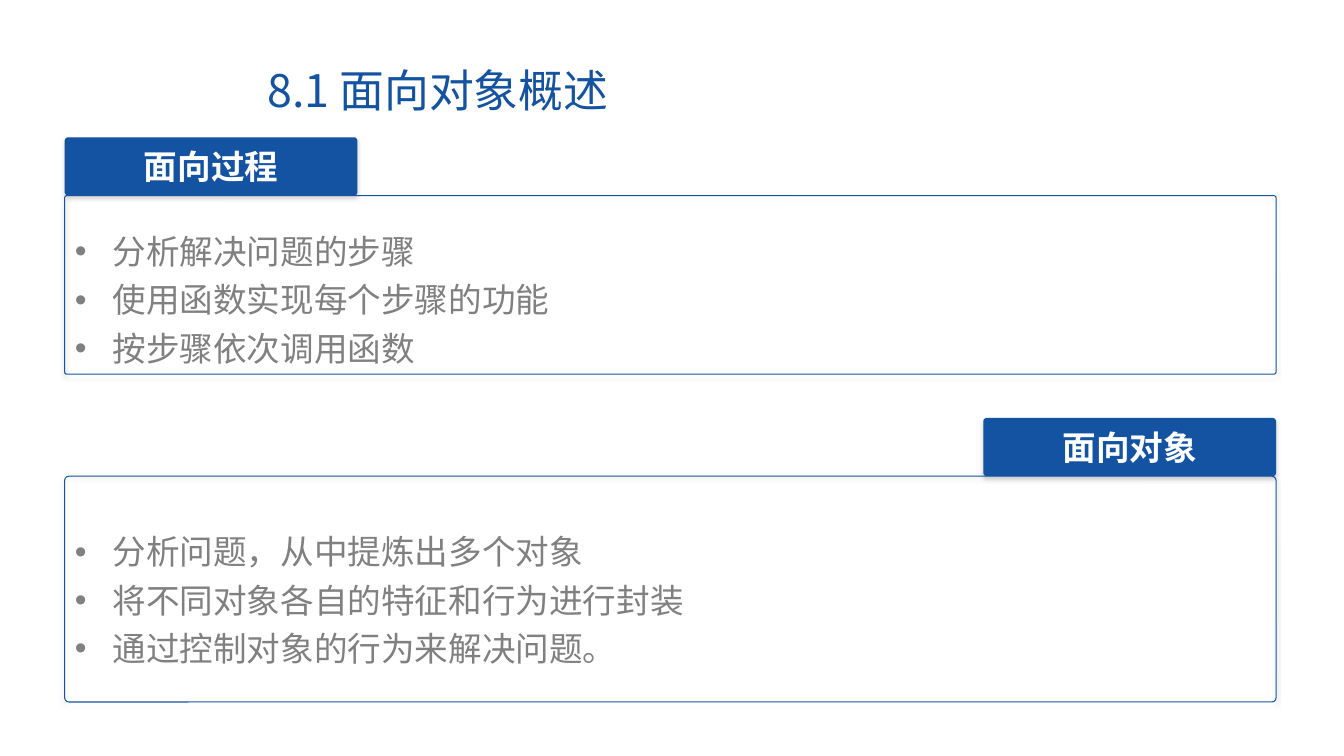
import pptx
import pptx.dml.color
import pptx.enum.shapes
import pptx.enum.text
import pptx.oxml
import pptx.oxml.ns
import pptx.util

Cm = pptx.util.Cm
Pt = pptx.util.Pt
ANCHOR = pptx.enum.text.MSO_ANCHOR
ALIGN = pptx.enum.text.PP_ALIGN
DRAWING = pptx.oxml.ns.nsdecls("a")
FONT = "Noto Sans CJK SC"
COLORS = {"blue": "1353A2", "grey": "808080", "white": "FFFFFF"}
RGB = {name: pptx.dml.color.RGBColor.from_string(code) for name, code in COLORS.items()}


def write(para, words, color, **font_format):
    """Add one formatted run, with the font for Latin and Chinese text."""
    span = para.add_run()
    span.text = words
    span.font.color.rgb = RGB[color]
    for name, value in {"name": FONT, **font_format}.items():
        setattr(span.font, name, value)
    span.font._element.find(pptx.oxml.ns.qn("a:latin")).addnext(
        pptx.oxml.parse_xml(f'<a:ea {DRAWING} typeface="{FONT}"/>'))


def add_card(page, place, radius):
    """Add a rounded rectangle with a soft shadow below it."""
    card = page.shapes.add_shape(
        pptx.enum.shapes.MSO_SHAPE.ROUNDED_RECTANGLE, *map(Cm, place))
    card.adjustments[0] = radius
    card.shadow.inherit = False
    effects = card._element.spPr.find(pptx.oxml.ns.qn("a:effectLst"))
    effects.append(pptx.oxml.parse_xml(
        f'<a:outerShdw {DRAWING} blurRad="{Pt(3.1)}" dist="{Pt(1.8)}" dir="5400000"'
        f' algn="t" rotWithShape="0"><a:srgbClr val="{COLORS["grey"]}">'
        '<a:alpha val="35000"/></a:srgbClr></a:outerShdw>'))
    return card


deck = pptx.Presentation()
deck.slide_width, deck.slide_height = Cm(33.87), Cm(19.05)
page = deck.slides.add_slide(deck.slide_layouts[3])
title, *bodies = page.placeholders

# Title
title.left, title.top, title.width, title.height = map(Cm, (6.48, 1.6, 23.22, 1.5))
title_format = {"word_wrap": True, "vertical_anchor": ANCHOR.MIDDLE,
                "auto_size": pptx.enum.text.MSO_AUTO_SIZE.NONE}
for name, value in title_format.items():
    setattr(title.text_frame, name, value)
heading = title.text_frame.paragraphs[0]
heading.alignment = ALIGN.LEFT
heading.line_spacing = 0.9
write(heading, "8.1 面向对象概述", "blue", size=Pt(32), bold=False)

# Each section: a tab on top of a panel, and a bulleted list inside
LEFT, WIDTH = 1.63, 30.53
TAB_WIDTH, TAB_HEIGHT = 7.38, 1.47
sections = [
    {"label": "面向过程", "tab_left": LEFT, "panel_top": 4.93, "panel_height": 4.5,
     "radius": 0.013, "list_top": 5.49, "list_width": 19.91,
     "points": ["分析解决问题的步骤", "使用函数实现每个步骤的功能", "按步骤依次调用函数"]},
    {"label": "面向对象", "tab_left": LEFT + WIDTH - TAB_WIDTH, "panel_top": 12,
     "panel_height": 5.69, "radius": 0.019, "list_top": 13.06, "list_width": WIDTH,
     "points": ["分析问题，从中提炼出多个对象", "将不同对象各自的特征和行为进行封装",
                "通过控制对象的行为来解决问题。"]},
]
list_format = {**title_format, "vertical_anchor": ANCHOR.TOP}
point_format = {"line_spacing": 1.2, "space_before": Pt(0), "alignment": ALIGN.LEFT}

for section, body in zip(sections, bodies):
    # Tab
    tab = add_card(page, (section["tab_left"], section["panel_top"] - TAB_HEIGHT,
                          TAB_WIDTH, TAB_HEIGHT), 0.06)
    tab.fill.solid()
    tab.fill.fore_color.rgb = RGB["blue"]
    tab.line.fill.background()
    tab.text_frame.vertical_anchor = ANCHOR.MIDDLE
    tab.text_frame.word_wrap = False
    label = tab.text_frame.paragraphs[0]
    label.alignment = ALIGN.CENTER
    write(label, section["label"], "white", size=Pt(24), bold=True)

    # Panel
    panel = add_card(page, (LEFT, section["panel_top"], WIDTH, section["panel_height"]),
                     section["radius"])
    panel.fill.background()
    panel.line.color.rgb = RGB["blue"]
    panel.line.width = Pt(0.75)

    # List
    body.left, body.top, body.width, body.height = map(
        Cm, (LEFT, section["list_top"], section["list_width"], 3.84))
    for name, value in list_format.items():
        setattr(body.text_frame, name, value)
    for index, point in enumerate(section["points"]):
        para = body.text_frame.add_paragraph() if index else body.text_frame.paragraphs[0]
        properties = para._element.get_or_add_pPr()
        properties.set("marL", str(Cm(0.95)))
        properties.set("indent", str(-Cm(0.95)))
        for bullet in ('buFont {} typeface="Arial"', 'buChar {} char="•"'):
            properties.append(pptx.oxml.parse_xml(f"<a:{bullet.format(DRAWING)}/>"))
        for name, value in point_format.items():
            setattr(para, name, value)
        write(para, point, "grey", size=Pt(24))

    # The list lies in front of its panel
    page.shapes._spTree.append(body._element)

deck.save("out.pptx")
